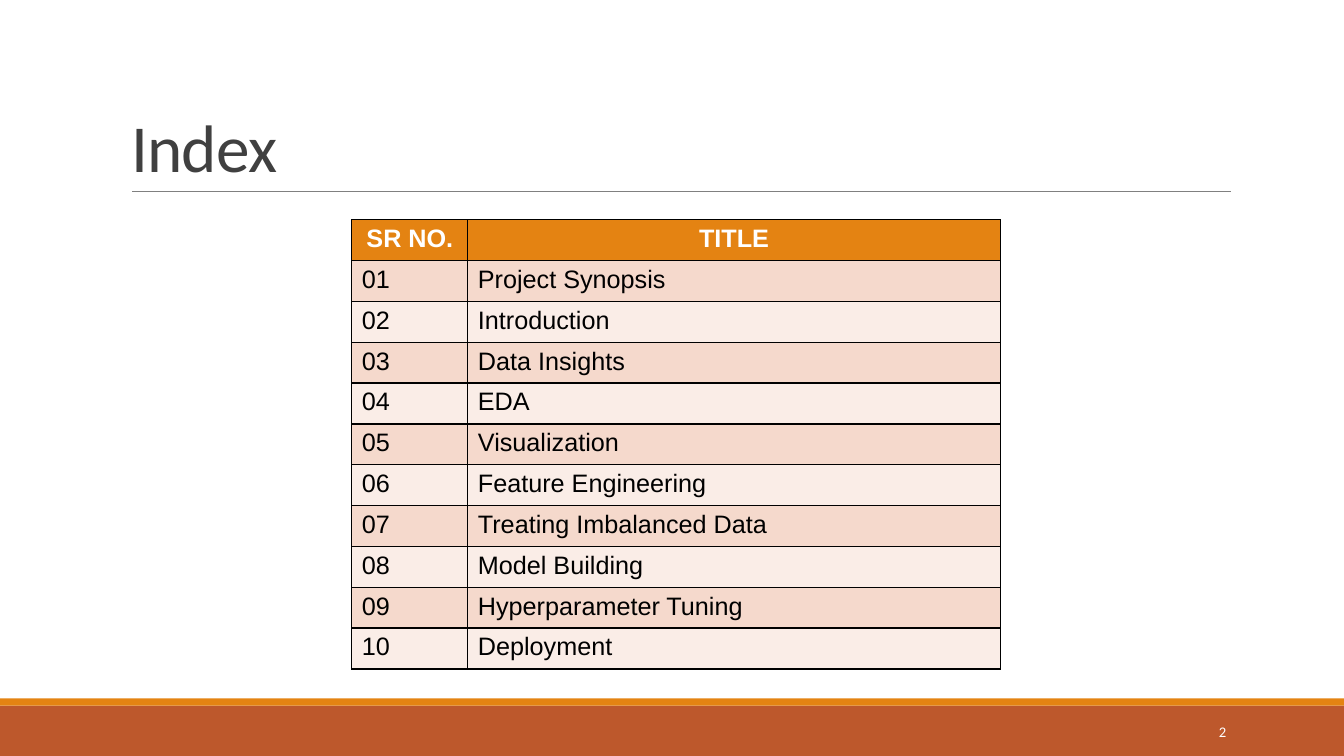
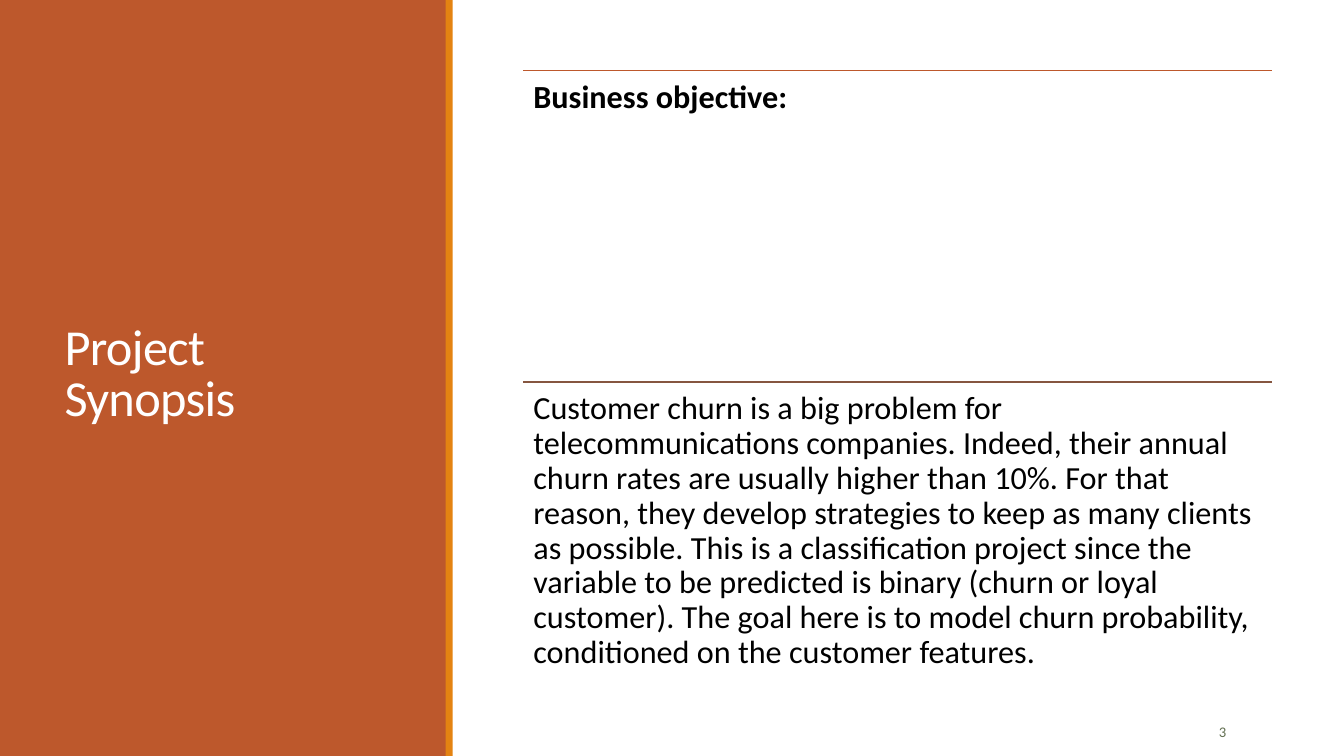
import dataclasses

import lxml.etree
import pptx
import pptx.dml.color
import pptx.enum.shapes
import pptx.enum.text
import pptx.oxml
import pptx.oxml.ns
import pptx.util

Inches, Pt = pptx.util.Inches, pptx.util.Pt
RGB = pptx.dml.color.RGBColor.from_string
ALIGN = pptx.enum.text.PP_ALIGN
ANCHOR = pptx.enum.text.MSO_ANCHOR
qn = pptx.oxml.ns.qn


@dataclasses.dataclass(frozen=True)
class Theme:
    rust: str = "BD582C"
    orange: str = "E48312"
    brown: str = "865640"
    rule: str = "808080"
    title: str = "404040"
    olive: str = "637052"
    white: str = "FFFFFF"
    black: str = "000000"
    stripes: tuple = ("FAEDE7", "F5D9CC")
    font: str = "Calibri"
    table_font: str = "Arial"
    title_size: float = 48
    side_title_size: float = 36
    body_size: float = 23
    table_size: float = 18
    number_size: float = 10.5


T = Theme()


def write(tf, text, size, color, font=T.font, bold=False, para=None, frame=None):
    """Put one formatted paragraph in a text frame and return it."""
    for name, value in (frame or {}).items():
        setattr(tf, name, value)
    p = tf.paragraphs[0]
    for name, value in (para or {}).items():
        setattr(p, name, value)
    r = p.add_run()
    r.text = text
    for name, value in {"name": font, "size": Pt(size), "bold": bold}.items():
        setattr(r.font, name, value)
    r.font.color.rgb = RGB(color)
    return p


def place(sp, left, top, width, height):
    """Move a shape to a position given in inches."""
    box = {"left": left, "top": top, "width": width, "height": height}
    for name, value in box.items():
        setattr(sp, name, Inches(value))


prs = pptx.Presentation()
prs.slide_width, prs.slide_height = Inches(13.33), Inches(7.5)
index = prs.slides.add_slide(prs.slide_layouts[5])
synopsis = prs.slides.add_slide(prs.slide_layouts[3])

# Colour bands, sent behind the placeholders
bands = [
    (index, T.orange, (0, 6.93, 13.33, 0.07)),
    (index, T.rust, (0, 7, 13.33, 0.5)),
    (synopsis, T.orange, (4.42, 0, 0.07, 7.5)),
    (synopsis, T.rust, (0, 0, 4.43, 7.5)),
]
for s, color, box in bands:
    sp = s.shapes.add_shape(pptx.enum.shapes.MSO_SHAPE.RECTANGLE, *map(Inches, box))
    sp.shadow.inherit = False
    sp.fill.solid()
    sp.fill.fore_color.rgb = RGB(color)
    sp.line.fill.background()
    s.shapes._spTree.insert(2, sp._element)

# Titles
titles = [
    (index, "Index", T.title_size, T.title, ANCHOR.BOTTOM, (1.2, 0.31, 11, 1.59)),
    (synopsis, "Project Synopsis", T.side_title_size, T.white, ANCHOR.MIDDLE,
     (0.54, 0.57, 3.37, 6.31)),
]
for s, text, size, color, anchor, box in titles:
    sp = s.shapes.title
    place(sp, *box)
    p = write(sp.text_frame, text, size, color,
              para={"alignment": ALIGN.LEFT, "line_spacing": 0.85},
              frame={"vertical_anchor": anchor, "word_wrap": True,
                     "auto_size": pptx.enum.text.MSO_AUTO_SIZE.NONE})
    p.runs[0].font._element.set("spc", "-50")

# Rules
rules = [
    (index, 1.31, 12.21, 1.9, T.rule, 0.5),
    (synopsis, 5.19, 12.62, 0.7, T.rust, 1.25),
    (synopsis, 5.19, 12.62, 3.79, T.brown, 1.25),
]
for s, left, right, y, color, width in rules:
    line = s.shapes.add_connector(pptx.enum.shapes.MSO_CONNECTOR.STRAIGHT,
                                  Inches(left), Inches(y), Inches(right), Inches(y))
    line.line.color.rgb = RGB(color)
    line.line.width = Pt(width)
    lxml.etree.SubElement(line._element.spPr, qn("a:effectLst"))

# Slide numbers
for number, (s, color) in enumerate([(index, T.white), (synopsis, T.olive)], start=2):
    sp = s.shapes.add_textbox(Inches(10.83), Inches(7.06), Inches(1.43), Inches(0.4))
    write(sp.text_frame, str(number), T.number_size, color,
          para={"alignment": ALIGN.RIGHT},
          frame={"vertical_anchor": ANCHOR.MIDDLE, "word_wrap": True})

# Index table
topics = ["Project Synopsis", "Introduction", "Data Insights", "EDA", "Visualization",
          "Feature Engineering", "Treating Imbalanced Data", "Model Building",
          "Hyperparameter Tuning", "Deployment"]
rows = [("SR NO.", "TITLE")] + [(f"{i:02}", topic) for i, topic in enumerate(topics, 1)]
table = index.shapes.add_table(len(rows), 2, Inches(3.49), Inches(2.18),
                               Inches(6.43), Inches(4.46)).table
for column, width in zip(table.columns, (1.15, 5.28)):
    column.width = Inches(width)
for i, row in enumerate(rows):
    header = i == 0
    for j, text in enumerate(row):
        cell = table.cell(i, j)
        write(cell.text_frame, text, T.table_size, T.white if header else T.black,
              font=T.table_font, bold=header,
              para={"alignment": ALIGN.CENTER if header else ALIGN.LEFT})
        tcPr = cell._tc.get_or_add_tcPr()
        for side in ("lnL", "lnR", "lnT", "lnB"):
            ln = lxml.etree.SubElement(tcPr, qn(f"a:{side}"), w=str(Pt(1)))
            fill = lxml.etree.SubElement(ln, qn("a:solidFill"))
            lxml.etree.SubElement(fill, qn("a:srgbClr"), val=T.black)
        cell.fill.solid()
        cell.fill.fore_color.rgb = RGB(T.orange if header else T.stripes[i % 2])

# Synopsis text
blocks = [
    ("Business objective:", True),
    ("Customer churn is a big problem for telecommunications companies. Indeed, their "
     "annual churn rates are usually higher than 10%. For that reason, they develop "
     "strategies to keep as many clients as possible. This is a classification project "
     "since the variable to be predicted is binary (churn or loyal customer). The goal "
     "here is to model churn probability, conditioned on the customer features.", False),
]
margins = {f"margin_{side}": Inches(0.1) for side in ("left", "top", "right", "bottom")}
for i, (text, bold) in enumerate(blocks):
    sp = synopsis.placeholders[i + 1]
    place(sp, 5.19, 0.7 + i * 3.09, 7.43, 3.09)
    p = write(sp.text_frame, text, T.body_size, T.black, bold=bold,
              para={"alignment": ALIGN.LEFT, "line_spacing": 0.9, "space_before": Pt(0)},
              frame={"vertical_anchor": ANCHOR.TOP, "word_wrap": True,
                     "auto_size": pptx.enum.text.MSO_AUTO_SIZE.NONE, **margins})
    pPr = p._p.get_or_add_pPr()
    pPr.set("marL", "0")
    pPr.set("indent", "0")
    lxml.etree.SubElement(pPr, qn("a:buNone"))

prs.save("out.pptx")
